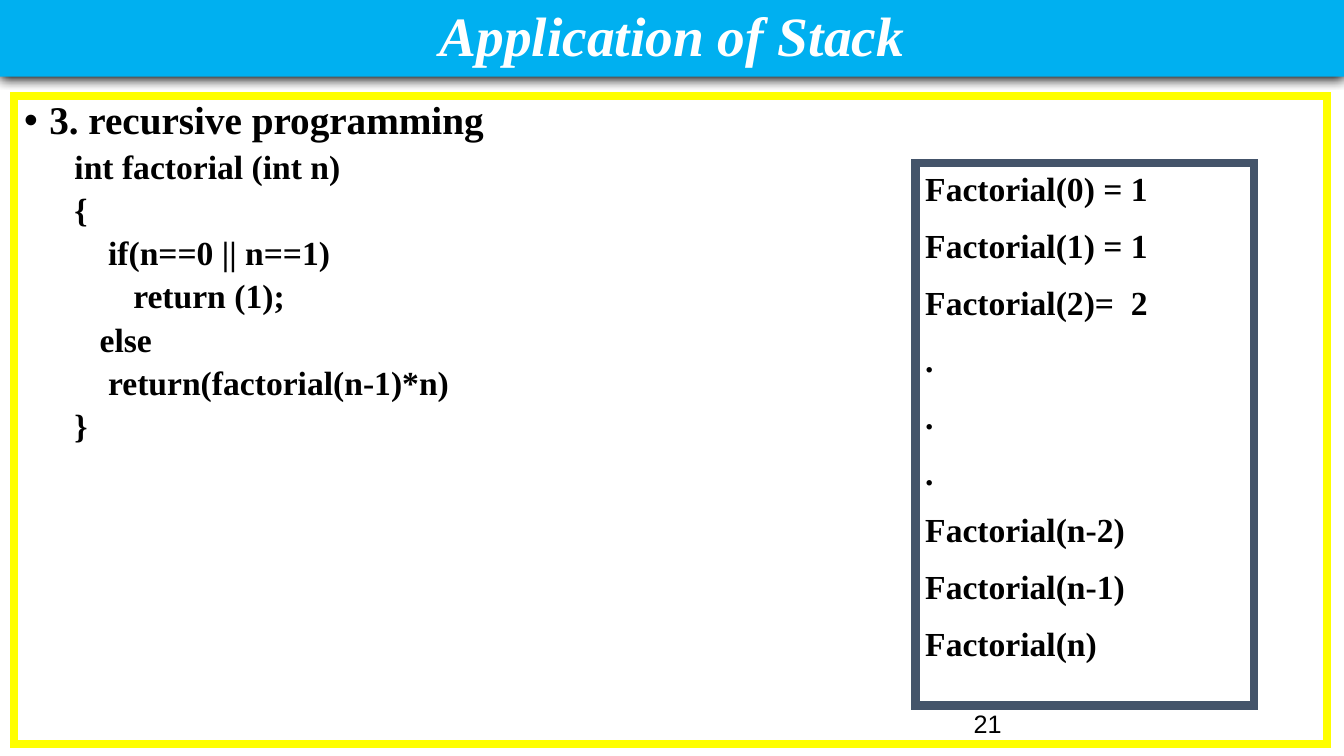
import pptx
import pptx.util
import pptx.dml.color
import pptx.enum.shapes
import pptx.enum.text
import pptx.oxml
import pptx.oxml.ns

Pt = pptx.util.Pt
ALIGN = pptx.enum.text.PP_ALIGN
ANCHOR = pptx.enum.text.MSO_ANCHOR
SERIF = "Times New Roman"
SPACE = 6  # width of one space in the code, in points

# Code lines with their depth in spaces
CODE = [
    ("int factorial (int n)", 0),
    ("{", 0),
    ("if(n==0 || n==1)", 4),
    ("return (1);", 7),
    ("else", 3),
    ("return(factorial(n-1)*n)", 4),
    ("}", 0),
]
CALLS = ["Factorial(0) = 1", "Factorial(1) = 1", "Factorial(2)=  2", ".", ".", ".",
         "Factorial(n-2)", "Factorial(n-1)", "Factorial(n)"]


def rgb(color):
    return pptx.dml.color.RGBColor.from_string(color)


def place(sp, left, top, width, height):
    sp.left, sp.top, sp.width, sp.height = Pt(left), Pt(top), Pt(width), Pt(height)


def set_frame(sp, anchor):
    tf = sp.text_frame
    tf.word_wrap = True
    tf.auto_size = pptx.enum.text.MSO_AUTO_SIZE.NONE
    tf.vertical_anchor = anchor
    return tf


def add_xml(parent, xml):
    """Append an element written with an explicit closing tag."""
    ns = pptx.oxml.ns.nsdecls("a")
    parent.append(pptx.oxml.parse_xml(xml.replace(">", f" {ns}>", 1)))


def outline(sp, color):
    sp.fill.background()
    sp.line.color.rgb = rgb(color)
    sp.line.width = Pt(6)
    add_xml(sp.line._get_or_add_ln(), '<a:miter lim="800000"></a:miter>')


def add_text(tf, text, size, color="000000", font=SERIF, bold=True, italic=False,
             align=ALIGN.LEFT, line=1.0, before=0, level=0, margin=0, hanging=0,
             bullet=None):
    """Fill the first paragraph while the frame is empty, then append."""
    p = tf.add_paragraph() if tf.text else tf.paragraphs[0]
    p.alignment, p.line_spacing, p.level = align, line, level
    p.space_before, p.space_after = Pt(before), Pt(0)
    pPr = p._p.get_or_add_pPr()
    pPr.set("marL", str(Pt(margin)))
    pPr.set("indent", str(Pt(-hanging)))
    if bullet:
        add_xml(pPr, '<a:buFont typeface="Arial"></a:buFont>')
        add_xml(pPr, f'<a:buChar char="{bullet}"></a:buChar>')
    else:
        add_xml(pPr, "<a:buNone></a:buNone>")
    r = p.add_run()
    r.text = text
    r.font.name, r.font.size = font, Pt(size)
    r.font.bold, r.font.italic = bold, italic
    r.font.color.rgb = rgb(color)


def fill_title(sp):
    place(sp, 0, 0, 960, 54.7)
    sp.fill.solid()
    sp.fill.fore_color.rgb = rgb("00B0F0")
    add_xml(sp._element.spPr,
            f'<a:effectLst><a:outerShdw blurRad="{Pt(8.5)}" dist="{Pt(1)}" dir="5400000">'
            '<a:srgbClr val="000000"/></a:outerShdw></a:effectLst>')
    add_text(set_frame(sp, ANCHOR.MIDDLE), "Application of Stack", 39.6, color="FFFFFF",
             italic=True, align=ALIGN.CENTER, line=0.9)


def fill_body(sp):
    place(sp, 10, 68.4, 938, 463)
    outline(sp, "FFFF00")
    tf = set_frame(sp, ANCHOR.TOP)
    add_text(tf, "3. recursive programming", 28, line=0.9, before=10,
             margin=18, hanging=18, bullet="•")
    for text, depth in CODE:
        add_text(tf, text, 24, line=0.9, before=5, level=1, margin=36 + depth * SPACE)


def add_page_number(s):
    sp = s.shapes.add_textbox(Pt(688.3), Pt(499), Pt(224), Pt(36))
    add_text(set_frame(sp, ANCHOR.MIDDLE), "21", 18, font="Arial", bold=False)


def add_call_box(s):
    sp = s.shapes.add_shape(pptx.enum.shapes.MSO_SHAPE.RECTANGLE,
                            Pt(653.8), Pt(116.6), Pt(242), Pt(387.4))
    sp.shadow.inherit = False
    outline(sp, "44546A")
    tf = set_frame(sp, ANCHOR.TOP)
    for text in CALLS:
        add_text(tf, text, 24, before=11.8)


def main():
    prs = pptx.Presentation()
    prs.slide_width, prs.slide_height = Pt(960), Pt(540)
    s = prs.slides.add_slide(prs.slide_layouts[1])
    fill_title(s.shapes.title)
    fill_body(s.placeholders[1])
    add_call_box(s)
    add_page_number(s)
    prs.save("out.pptx")


if __name__ == "__main__":
    main()
